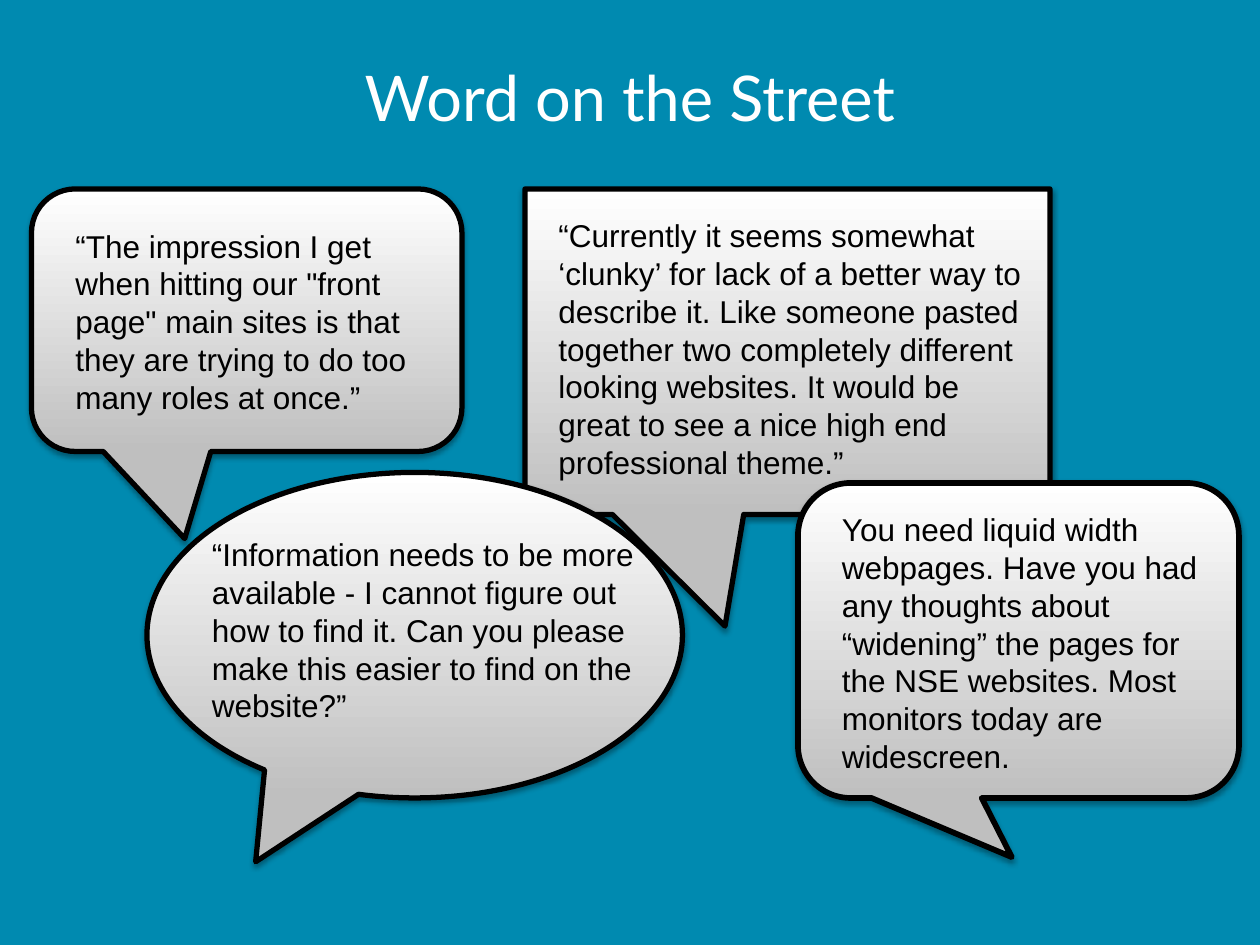
"""Build the "Word on the Street" slide of four quotation callouts."""
from lxml.etree import SubElement
from pptx import Presentation
from pptx.dml.color import RGBColor
from pptx.enum.shapes import MSO_SHAPE
from pptx.enum.text import MSO_AUTO_SIZE, PP_ALIGN
from pptx.oxml.ns import qn
from pptx.util import Pt

PX = 9525
BLUE = RGBColor(0x00, 0x8A, 0xB0)
BLACK = RGBColor(0x00, 0x00, 0x00)
WHITE = RGBColor(0xFF, 0xFF, 0xFF)
GREY = RGBColor(0xBF, 0xBF, 0xBF)


def add_text(shapes, box, text, font, size, color, align=PP_ALIGN.LEFT):
    tf = shapes.add_textbox(*[v * PX for v in box]).text_frame
    tf.word_wrap = True
    tf.auto_size = MSO_AUTO_SIZE.SHAPE_TO_FIT_TEXT
    p = tf.paragraphs[0]
    p.alignment = align
    for i, line in enumerate(text.split("\n")):
        if i:
            p.add_line_break()
        r = p.add_run()
        r.text = line
        r.font.name = font
        r.font.size = Pt(size)
        r.font.color.rgb = color


def add_callout(shapes, kind, box, adjustments, line_width):
    sp = shapes.add_shape(kind, *[v * PX for v in box])
    for i, value in enumerate(adjustments):
        sp.adjustments[i] = value
    sp.fill.gradient()
    sp.fill.gradient_angle = 90
    for stop, color in zip(sp.fill.gradient_stops, (GREY, WHITE)):
        stop.color.rgb = color
    sp.line.color.rgb = BLACK
    sp.line.width = Pt(line_width)
    sp.shadow.inherit = False
    effects = sp._element.spPr.find(qn("a:effectLst"))
    shadow = SubElement(effects, qn("a:outerShdw"), blurRad=str(Pt(3.1)),
                        dist=str(Pt(1.8)), dir="5400000", rotWithShape="0")
    color = SubElement(shadow, qn("a:srgbClr"), val=str(BLACK))
    SubElement(color, qn("a:alpha"), val="35000")


prs = Presentation()
prs.slide_width = 960 * PX
prs.slide_height = 720 * PX
s = prs.slides.add_slide(prs.slide_layouts[6])
s.background.fill.solid()
s.background.fill.fore_color.rgb = BLUE

quotes = [
    (MSO_SHAPE.ROUNDED_RECTANGULAR_CALLOUT, (24, 144, 328, 200),
     (-0.144, 0.832, 0.167), 3, (48, 168, 296, 156),
     "“The impression I get when hitting our \"front page\" main sites is that\n"
     "they are trying to do too many roles at once.”"),
    (MSO_SHAPE.RECTANGULAR_CALLOUT, (400, 144, 400, 248),
     (-0.119, 0.843), 3, (416, 160, 384, 213),
     "“Currently it seems somewhat ‘clunky’ for lack of a better way to "
     "describe it. Like someone pasted together two completely different "
     "looking websites. It would be great to see a nice high end "
     "professional theme.”"),
    (MSO_SHAPE.OVAL_CALLOUT, (112, 360, 408, 248),
     (-0.297, 0.696), 3, (152, 403, 344, 156),
     "“Information needs to be more available - I cannot figure out how to "
     "find it. Can you please make this easier to find on the website?”"),
    (MSO_SHAPE.ROUNDED_RECTANGULAR_CALLOUT, (608, 368, 336, 240),
     (-0.015, 0.688, 0.167), 3.25, (632, 384, 304, 213),
     "You need liquid width webpages. Have you had any thoughts about "
     "“widening” the pages for the NSE websites. Most monitors today are "
     "widescreen."),
]
for kind, box, adjustments, line_width, text_box, text in quotes:
    shapes = s.shapes.add_group_shape().shapes
    add_callout(shapes, kind, box, adjustments, line_width)
    add_text(shapes, text_box, text, "Arial", 18, BLACK)

add_text(s.shapes, (140, 40, 680, 68), "Word on the Street", "Lato", 36, WHITE,
         PP_ALIGN.CENTER)

prs.save("out.pptx")
